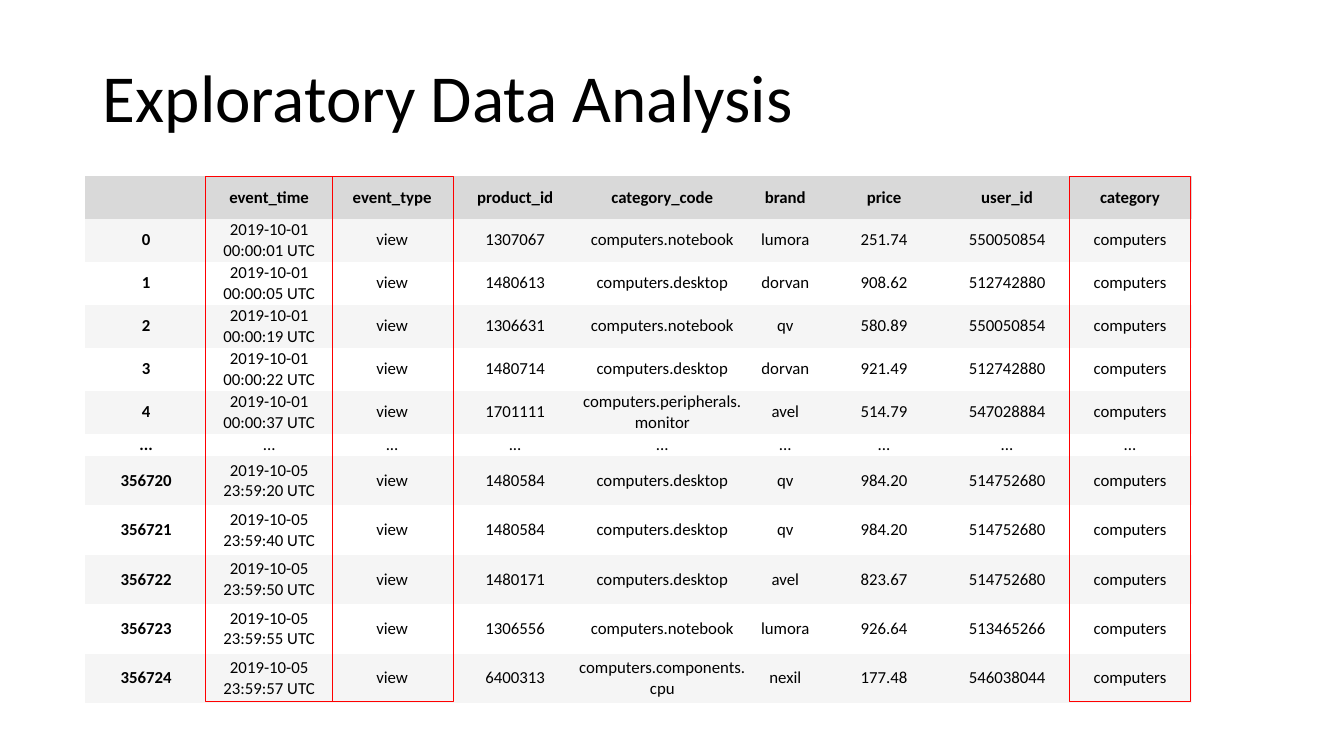
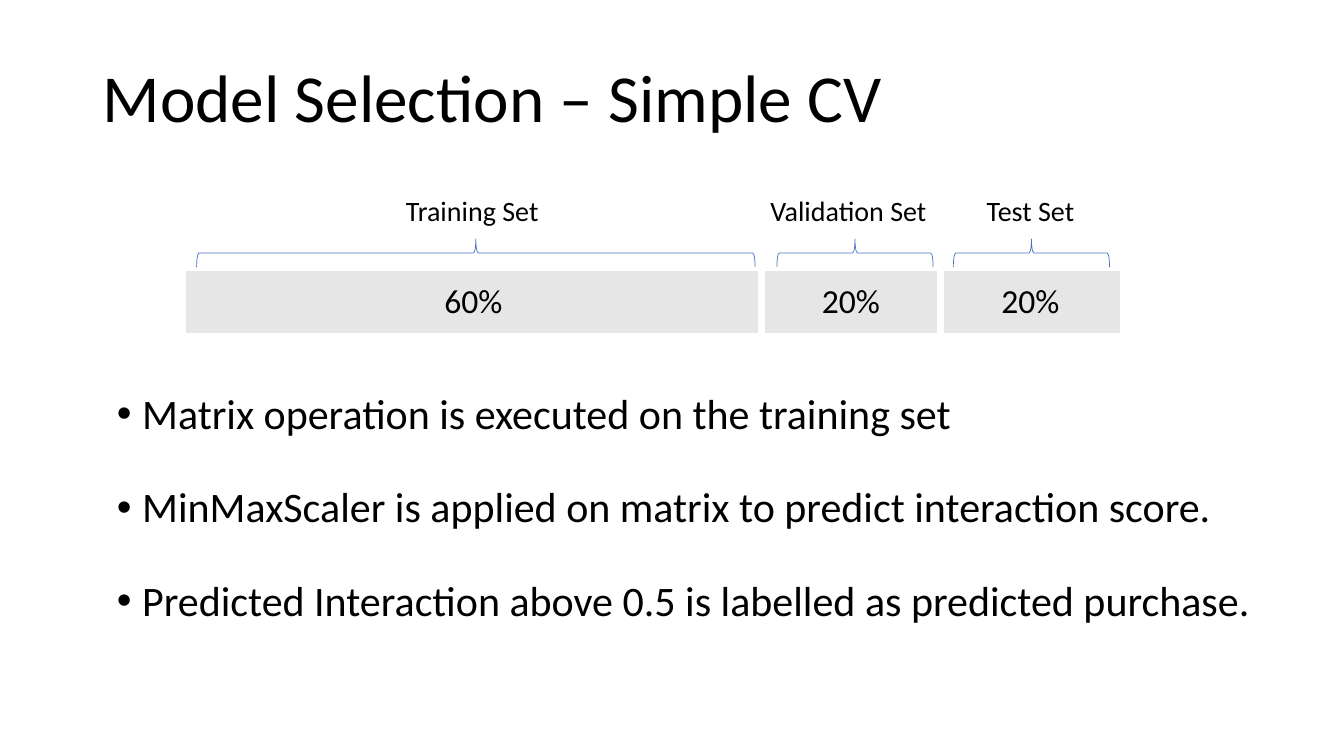
import pptx
import pptx.dml.color
import pptx.enum.shapes
import pptx.enum.text
import pptx.oxml
import pptx.oxml.ns
import pptx.util
from pptx.util import Inches

FONT = "Calibri"
COLORS = {
    "text": "000000",
    "header": "D9D9D9",
    "band": "F5F5F5",
    "white": "FFFFFF",
    "highlight": "FF0000",
    "bar": "E7E6E6",
    "brace": "4472C4",
}
NO_STYLE_NO_GRID = "{2D5ABB26-0587-4C30-8999-92F81FD0307C}"
CENTER = pptx.enum.text.PP_ALIGN.CENTER
LEFT = pptx.enum.text.PP_ALIGN.LEFT
MIDDLE = pptx.enum.text.MSO_ANCHOR.MIDDLE


def color(name):
    return pptx.dml.color.RGBColor.from_string(COLORS[name])


def format_text(text_frame, size, alignment, bold=False):
    for paragraph in text_frame.paragraphs:
        paragraph.alignment = alignment
        for run in paragraph.runs:
            run.font.name = FONT
            run.font.size = pptx.util.Pt(size)
            run.font.bold = bold
            run.font.color.rgb = color("text")


presentation = pptx.Presentation()
presentation.slide_width = Inches(13.33)
presentation.slide_height = Inches(7.5)

# Titles
slides = []
for layout_index, title_text in [(5, "Exploratory Data Analysis"),
                                 (1, "Model Selection – Simple CV")]:
    slide = presentation.slides.add_slide(presentation.slide_layouts[layout_index])
    title = slide.shapes.title
    title.left, title.top = Inches(0.92), Inches(0.27)
    title.width, title.height = Inches(11.25), Inches(1.45)
    title.text_frame.text = title_text
    title.text_frame.vertical_anchor = MIDDLE
    title.text_frame.paragraphs[0].line_spacing = 0.9
    format_text(title.text_frame, 48, LEFT)
    slides.append(slide)
data_slide, model_slide = slides

# Event table
header = ["", "event_time", "event_type", "product_id", "category_code",
          "brand", "price", "user_id", "category"]
events = [
    ("0", "2019-10-01 00:00:01 UTC", "1307067", "notebook", "lumora", "251.74", "550050854"),
    ("1", "2019-10-01 00:00:05 UTC", "1480613", "desktop", "dorvan", "908.62", "512742880"),
    ("2", "2019-10-01 00:00:19 UTC", "1306631", "notebook", "qv", "580.89", "550050854"),
    ("3", "2019-10-01 00:00:22 UTC", "1480714", "desktop", "dorvan", "921.49", "512742880"),
    ("4", "2019-10-01 00:00:37 UTC", "1701111", "peripherals.monitor", "avel", "514.79",
     "547028884"),
    None,
    ("356720", "2019-10-05 23:59:20 UTC", "1480584", "desktop", "qv", "984.20", "514752680"),
    ("356721", "2019-10-05 23:59:40 UTC", "1480584", "desktop", "qv", "984.20", "514752680"),
    ("356722", "2019-10-05 23:59:50 UTC", "1480171", "desktop", "avel", "823.67", "514752680"),
    ("356723", "2019-10-05 23:59:55 UTC", "1306556", "notebook", "lumora", "926.64",
     "513465266"),
    ("356724", "2019-10-05 23:59:57 UTC", "6400313", "components.cpu", "nexil", "177.48",
     "546038044"),
]
rows = [header]
for event in events:
    if event is None:
        rows.append(["..."] * len(header))
    else:
        index, time, product, code, brand, price, user = event
        rows.append([index, time, "view", product, "computers." + code,
                     brand, price, user, "computers"])

column_widths = [1.22] * 4 + [1.7, 0.74] + [1.22] * 3
row_heights = [0.42] * 6 + [0.22] + [0.49] * 5
event_table = data_slide.shapes.add_table(
    len(rows), len(header), Inches(0.84), Inches(1.75), Inches(10.97), Inches(5.21)).table
bar_widths = [5.71, 1.78, 1.78]
bar_table = model_slide.shapes.add_table(
    1, len(bar_widths), Inches(1.84), Inches(2.68), Inches(9.28), Inches(0.64)).table

for table, widths, heights in [(event_table, column_widths, row_heights),
                               (bar_table, bar_widths, [0.64])]:
    table.first_row = table.horz_banding = False
    table._tbl.tblPr.find(pptx.oxml.ns.qn("a:tableStyleId")).text = NO_STYLE_NO_GRID
    for column, width in zip(table.columns, widths):
        column.width = Inches(width)
    for row, height in zip(table.rows, heights):
        row.height = Inches(height)

for row_index, values in enumerate(rows):
    fill = "header" if row_index == 0 else "band" if row_index % 2 else "white"
    for column_index, value in enumerate(values):
        cell = event_table.cell(row_index, column_index)
        cell.fill.solid()
        cell.fill.fore_color.rgb = color(fill)
        cell.margin_left = cell.margin_right = Inches(0.02)
        cell.margin_top = cell.margin_bottom = Inches(0.01)
        cell.vertical_anchor = MIDDLE
        cell.text_frame.text = value
        format_text(cell.text_frame, 12, CENTER, row_index == 0 or column_index == 0)

# Highlighted columns
for left, width in [(2.04, 1.26), (3.3, 1.2), (10.61, 1.2)]:
    frame = data_slide.shapes.add_shape(
        pptx.enum.shapes.MSO_SHAPE.RECTANGLE,
        Inches(left), Inches(1.75), Inches(width), Inches(5.21))
    frame.shadow.inherit = False
    frame.fill.background()
    frame.line.color.rgb = color("highlight")
    frame.line.width = pptx.util.Pt(1)

# Split bar, with wide white borders as gaps
last = len(bar_widths) - 1
for column_index, share in enumerate(["60%", "20%", "20%"]):
    cell = bar_table.cell(0, column_index)
    cell.fill.solid()
    cell.fill.fore_color.rgb = color("bar")
    cell.vertical_anchor = MIDDLE
    cell.text_frame.text = share
    format_text(cell.text_frame, 24, CENTER)
    borders = [("lnL", 6 if column_index > 0 else 1), ("lnR", 6 if column_index < last else 1),
               ("lnT", 1), ("lnB", 3)]
    properties = cell._tc.get_or_add_tcPr()
    for position, (tag, points) in enumerate(borders):
        properties.insert(position, pptx.oxml.parse_xml(
            f'<a:{tag} {pptx.oxml.ns.nsdecls("a")} w="{pptx.util.Pt(points)}"><a:solidFill>'
            f'<a:srgbClr val="{COLORS["white"]}"/></a:solidFill></a:{tag}>'))

# Braces and labels above the bar
brace_depth, brace_middle = 0.28, 2.51
for label, label_left, label_width, brace_center, brace_span in [
        ("Training Set ", 2.07, 5.29, 4.72, 5.54),
        ("Validation Set", 7.45, 1.93, 8.48, 1.55),
        ("Test Set", 9.56, 1.32, 10.23, 1.55)]:
    brace = model_slide.shapes.add_shape(
        pptx.enum.shapes.MSO_SHAPE.RIGHT_BRACE,
        Inches(brace_center - brace_depth / 2), Inches(brace_middle - brace_span / 2),
        Inches(brace_depth), Inches(brace_span))
    brace.rotation = 270
    brace.shadow.inherit = False
    brace.fill.background()
    brace.line.color.rgb = color("brace")
    brace.line.width = pptx.util.Pt(0.5)

    label_box = model_slide.shapes.add_textbox(
        Inches(label_left), Inches(1.87), Inches(label_width), Inches(0.44))
    label_box.text_frame.word_wrap = True
    label_box.text_frame.text = label
    format_text(label_box.text_frame, 20, CENTER)

# Bullet list
body = model_slide.placeholders[1]
body.left, body.top = Inches(1.06), Inches(3.85)
body.width, body.height = Inches(11.6), Inches(2.53)
body.text_frame.auto_size = pptx.enum.text.MSO_AUTO_SIZE.NONE
body.text_frame.text = "\n".join([
    "Matrix operation is executed on the training set",
    "MinMaxScaler is applied on matrix to predict interaction score.",
    "Predicted Interaction above 0.5 is labelled as predicted purchase.",
])
format_text(body.text_frame, 30, LEFT)
for paragraph in body.text_frame.paragraphs:
    paragraph.line_spacing = 0.9
    paragraph.space_before = pptx.util.Pt(0)
    paragraph.space_after = pptx.util.Pt(34.4)
    properties = paragraph._p.get_or_add_pPr()
    properties.set("marL", str(Inches(0.25)))
    properties.set("indent", str(-Inches(0.25)))

presentation.save("out.pptx")
